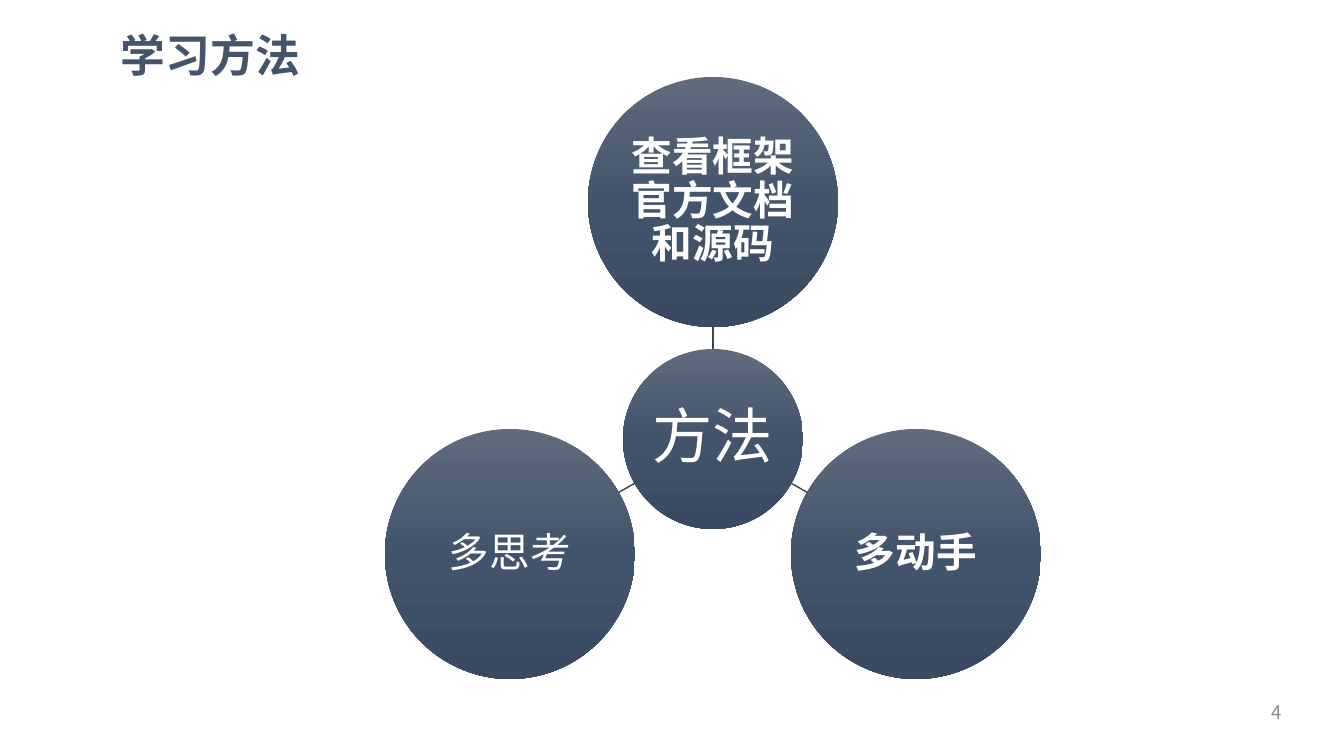
import copy
import math

import pptx
import pptx.dml.color
import pptx.enum.shapes
import pptx.enum.text
import pptx.oxml
import pptx.oxml.ns
import pptx.util

TITLE = "学习方法"
PAGE_NUMBER = "4"
HUB = {"text": "方法", "center": (713, 439), "diameter": 180, "inset": 3,
       "format": {"size": 43, "bold": False}}
METHODS = [
    ("查看框架官方文档和源码", (713, 202), True),
    ("多动手", (916, 554), True),
    ("多思考", (510, 554), False),
]
METHOD_DIAMETER = 250
METHOD_INSET = 2

THEME = {
    "font": "Noto Sans CJK SC",
    "title": "44546A",
    "page": "8C8C8C",
    "circle_text": "FFFFFF",
    "spoke": "364355",
    "gradient": [(0, "606B7D"), (0.5, "42546C"), (1, "394A62")],
    "title_size": 32,
    "method_size": 29,
    "page_size": 13.3,
}
PIXELS_PER_INCH = 100.8
ALIGN = pptx.enum.text.PP_ALIGN


def emu(pixels):
    """Turn pixels into EMU."""
    return pptx.util.Emu(round(pixels * 914400 / PIXELS_PER_INCH))


def rgb(value):
    """Turn an RRGGBB string into a colour."""
    return pptx.dml.color.RGBColor.from_string(value)


def write(shape, text, color, size, bold=False, align=ALIGN.CENTER,
          line_spacing=0.9, inset=None):
    """Write one vertically centred paragraph into a shape."""
    frame = shape.text_frame
    frame_format = {"word_wrap": True,
                    "vertical_anchor": pptx.enum.text.MSO_ANCHOR.MIDDLE}
    if inset is not None:
        for side in ("left", "right", "top", "bottom"):
            frame_format["margin_" + side] = emu(inset)
    for name, value in frame_format.items():
        setattr(frame, name, value)
    paragraph = frame.paragraphs[0]
    paragraph.alignment = align
    paragraph.line_spacing = line_spacing
    run = paragraph.add_run()
    run.text = text
    run.font.color.rgb = rgb(color)
    font_format = {"name": THEME["font"], "size": pptx.util.Pt(size), "bold": bold}
    for name, value in font_format.items():
        setattr(run.font, name, value)
    east_asian = pptx.oxml.parse_xml(
        f'<a:ea {pptx.oxml.ns.nsdecls("a")} typeface="{THEME["font"]}"/>')
    run.font._element.append(east_asian)


def add_text(slide, box, text, **text_format):
    """Add a text box given as left, top, width, height."""
    write(slide.shapes.add_textbox(*map(emu, box)), text, **text_format)


def add_circle(slide, center, diameter, text, inset, **text_format):
    """Add a gradient circle around its centre."""
    corner = [emu(value - diameter / 2) for value in center]
    shape = slide.shapes.add_shape(pptx.enum.shapes.MSO_SHAPE.OVAL, *corner,
                                   emu(diameter), emu(diameter))
    shape.shadow.inherit = False
    shape.line.fill.background()
    shape.fill.gradient()
    shape.fill.gradient_angle = 270
    stop_list = shape._element.spPr.find(".//" + pptx.oxml.ns.qn("a:gsLst"))
    stop_list.append(copy.deepcopy(stop_list[0]))
    for stop, (position, color) in zip(shape.fill.gradient_stops, THEME["gradient"]):
        stop.position = position
        stop.color.rgb = rgb(color)
    write(shape, text, THEME["circle_text"], inset=inset, **text_format)


def add_spoke(slide, center):
    """Join the edge of the hub to the edge of a method circle."""
    offset = [end - start for start, end in zip(HUB["center"], center)]
    distance = math.hypot(*offset)
    ends = [start + step * reach / distance
            for reach in (HUB["diameter"] / 2, distance - METHOD_DIAMETER / 2)
            for start, step in zip(HUB["center"], offset)]
    connector = slide.shapes.add_connector(
        pptx.enum.shapes.MSO_CONNECTOR.STRAIGHT, *map(emu, ends))
    connector.line.color.rgb = rgb(THEME["spoke"])
    connector.line.width = pptx.util.Pt(1)
    connector._element.spPr.append(
        pptx.oxml.parse_xml(f'<a:effectLst {pptx.oxml.ns.nsdecls("a")}/>'))


presentation = pptx.Presentation()
presentation.slide_width = emu(1344)
presentation.slide_height = emu(756)
slide = presentation.slides.add_slide(presentation.slide_layouts[6])

add_text(slide, (111, 24, 1174, 68), TITLE, color=THEME["title"],
         size=THEME["title_size"], bold=True, align=ALIGN.LEFT)
add_circle(slide, HUB["center"], HUB["diameter"], HUB["text"], HUB["inset"],
           **HUB["format"])
for text, center, bold in METHODS:
    add_spoke(slide, center)
    add_circle(slide, center, METHOD_DIAMETER, text, METHOD_INSET,
               size=THEME["method_size"], bold=bold)
add_text(slide, (1244, 692, 65, 40), PAGE_NUMBER, color=THEME["page"],
         size=THEME["page_size"], line_spacing=1)

presentation.save("out.pptx")
